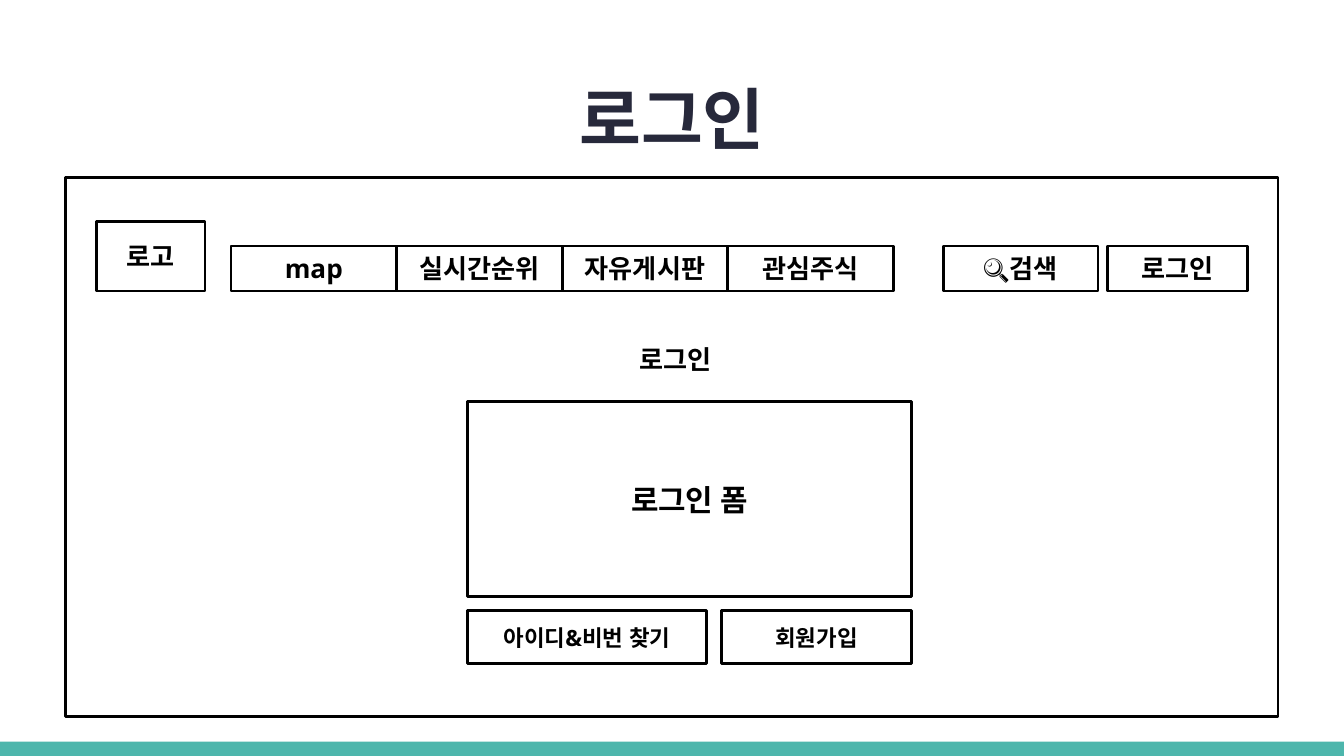
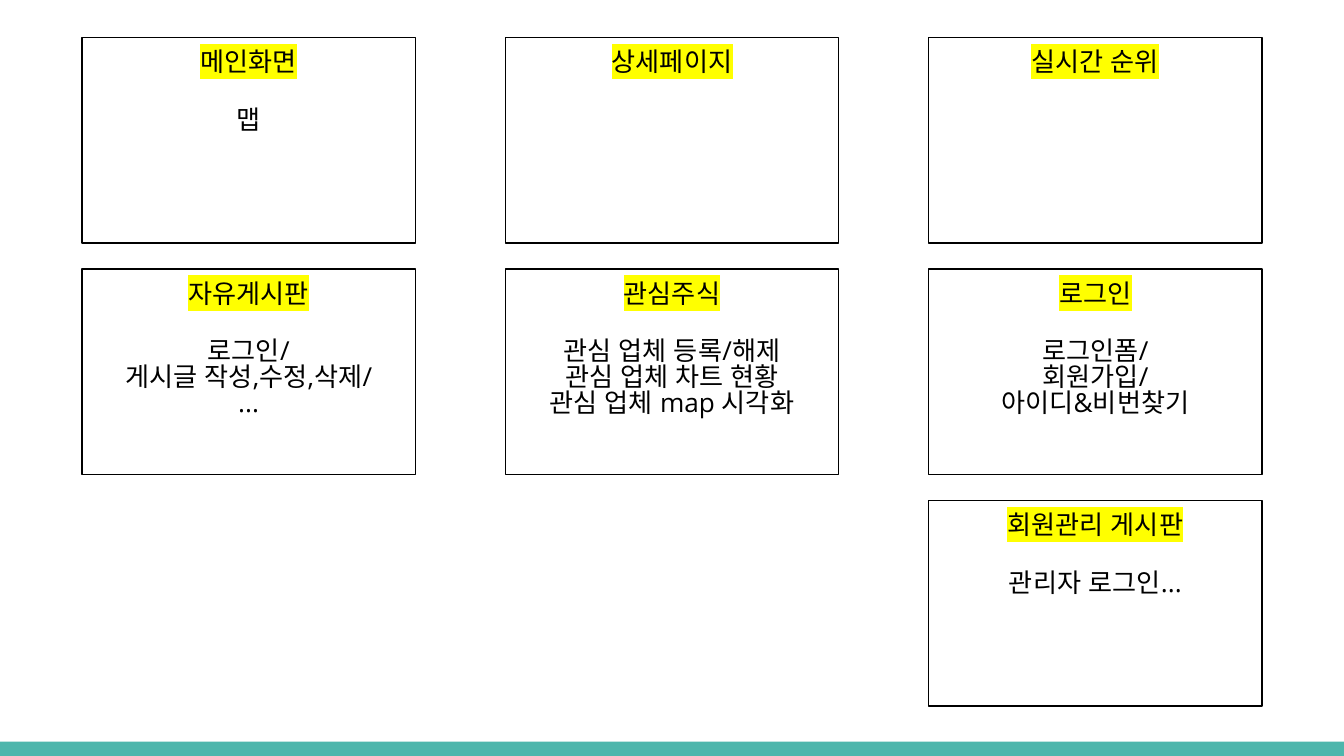
from dataclasses import dataclass

from lxml.etree import SubElement
from pptx import Presentation
from pptx.dml.color import RGBColor
from pptx.enum.lang import MSO_LANGUAGE_ID as Language
from pptx.enum.shapes import MSO_SHAPE as Preset
from pptx.enum.text import MSO_ANCHOR as Anchor, PP_ALIGN as Align
from pptx.oxml.ns import qn
from pptx.util import Pt

SLIDE_WIDTH, SLIDE_HEIGHT = 720, 405
BLACK, NAVY, TEAL, YELLOW = "000000", "27293B", "4DB6AC", "FFFF00"
TITLE_FONT, BODY_FONT = "Roboto Condensed", "Open Sans"
INSET = 7.2


@dataclass(frozen=True)
class Area:
    left: float
    top: float
    width: float
    height: float

    def lengths(self):
        return Pt(self.left), Pt(self.top), Pt(self.width), Pt(self.height)


@dataclass(frozen=True)
class Box:
    label: str
    area: Area
    size: float = 14


@dataclass(frozen=True)
class Card:
    column: int
    row: int
    heading: str
    details: tuple[str, ...] = ()


HEADER_TOP, HEADER_HEIGHT = 131.8, 24.1
NAV_LEFT, NAV_WIDTH = 123.8, 88.7
NAV_LABELS = ("map", "실시간순위", "자유게시판", "관심주식")
HEADER_BOXES = [
    Box("로고", Area(51.5, 118.5, 58.3, 37.4)),
    *(Box(label, Area(NAV_LEFT + i * NAV_WIDTH, HEADER_TOP, NAV_WIDTH, HEADER_HEIGHT))
      for i, label in enumerate(NAV_LABELS)),
    Box("🔍검색", Area(505.3, HEADER_TOP, 83, HEADER_HEIGHT)),
    Box("로그인", Area(593.5, HEADER_TOP, 75, HEADER_HEIGHT)),
]
LOGIN_BOXES = [
    Box("로그인 폼", Area(250.3, 215.3, 238.2, 104.5), 16),
    Box("아이디&비번 찾기", Area(250.3, 327, 128.4, 28.7), 12),
    Box("회원가입", Area(386.5, 327, 102, 28.7), 12),
]

CARD_LEFT, CARD_TOP = 43.9, 20.2
CARD_WIDTH, CARD_HEIGHT = 178.6, 110
COLUMN_STEP, ROW_STEP = 226.8, 124
CARDS = [
    Card(0, 0, "메인화면", ("맵",)),
    Card(1, 0, "상세페이지"),
    Card(2, 0, "실시간 순위"),
    Card(0, 1, "자유게시판", ("로그인/", "게시글 작성,수정,삭제/", "...")),
    Card(1, 1, "관심주식",
         ("관심 업체 등록/해제", "관심 업체 차트 현황", "관심 업체 map 시각화")),
    Card(2, 1, "로그인", ("로그인폼/", "회원가입/", "아이디&비번찾기")),
    Card(2, 2, "회원관리 게시판", ("관리자 로그인...",)),
]


def color(value: str) -> RGBColor:
    return RGBColor.from_string(value)


def add_box(shapes, area: Area, *, fill: str | None = None,
            line: str | None = BLACK, line_width: float = 1.5):
    box = shapes.add_shape(Preset.RECTANGLE, *area.lengths())
    box.shadow.inherit = False
    if fill:
        box.fill.solid()
        box.fill.fore_color.rgb = color(fill)
    else:
        box.fill.background()
    if line:
        box.line.color.rgb = color(line)
        box.line.width = Pt(line_width)
    else:
        box.line.fill.background()
    return box


def write(paragraph, text: str, *, size: float = 14, font: str = BODY_FONT,
          ink: str = BLACK, bold: bool = False, highlight: str | None = None,
          line_spacing: float | None = None, space_after: float = 0) -> None:
    paragraph.alignment = Align.CENTER
    paragraph.line_spacing = line_spacing
    paragraph.space_after = Pt(space_after)
    run = paragraph.add_run()
    run.text = text
    run.font.size = Pt(size)
    run.font.bold = bold
    run.font.color.rgb = color(ink)
    run.font.name = font
    run.font.language_id = Language.KOREAN
    properties = run.font._element
    for script in ("a:ea", "a:cs"):
        SubElement(properties, qn(script)).set("typeface", font)
    if highlight:
        marker = SubElement(properties, qn("a:highlight"))
        SubElement(marker, qn("a:srgbClr")).set("val", highlight)
        properties.find(qn("a:latin")).addprevious(marker)


def prepare_frame(shape, anchor=Anchor.MIDDLE):
    """Set the insets, wrapping and anchor, and return the text frame."""
    frame = shape.text_frame
    frame.word_wrap = True
    frame.vertical_anchor = anchor
    frame.margin_left = frame.margin_right = Pt(INSET)
    frame.margin_top = frame.margin_bottom = Pt(INSET)
    return frame


def add_label(slide, text: str, area: Area, **text_format) -> None:
    label = slide.shapes.add_textbox(*area.lengths())
    write(prepare_frame(label).paragraphs[0], text, bold=True, **text_format)


def add_labelled_box(shapes, box: Box) -> None:
    shape = add_box(shapes, box.area)
    write(prepare_frame(shape).paragraphs[0], box.label, size=box.size, bold=True)


def add_card(slide, card: Card) -> None:
    area = Area(CARD_LEFT + card.column * COLUMN_STEP,
                CARD_TOP + card.row * ROW_STEP, CARD_WIDTH, CARD_HEIGHT)
    frame = prepare_frame(add_box(slide.shapes, area, line_width=0.75), Anchor.TOP)
    write(frame.paragraphs[0], card.heading, highlight=YELLOW,
          line_spacing=0.82, space_after=17)
    for detail in card.details:
        write(frame.add_paragraph(), detail, line_spacing=0.82)


def add_slide(deck):
    """Add a blank slide with the teal band along its foot."""
    slide = deck.slides.add_slide(deck.slide_layouts[6])
    add_box(slide.shapes, Area(0, 397.4, SLIDE_WIDTH, 7.6), fill=TEAL, line=None)
    return slide


def build_login_wireframe(deck) -> None:
    slide = add_slide(deck)
    add_box(slide.shapes, Area(35.3, 95, 649.4, 288.7))
    add_label(slide, "로그인", Area(24.5, 35.3, 671, 55.4),
              size=36, font=TITLE_FONT, ink=NAVY)
    add_label(slide, "로그인", Area(151.9, 183.6, 420.5, 18))
    header = slide.shapes.add_group_shape()
    for box in HEADER_BOXES:
        add_labelled_box(header.shapes, box)
    for box in LOGIN_BOXES:
        add_labelled_box(slide.shapes, box)


def build_page_overview(deck) -> None:
    slide = add_slide(deck)
    for card in CARDS:
        add_card(slide, card)


def main() -> None:
    deck = Presentation()
    deck.slide_width, deck.slide_height = Pt(SLIDE_WIDTH), Pt(SLIDE_HEIGHT)
    build_login_wireframe(deck)
    build_page_overview(deck)
    deck.save("out.pptx")


if __name__ == "__main__":
    main()
